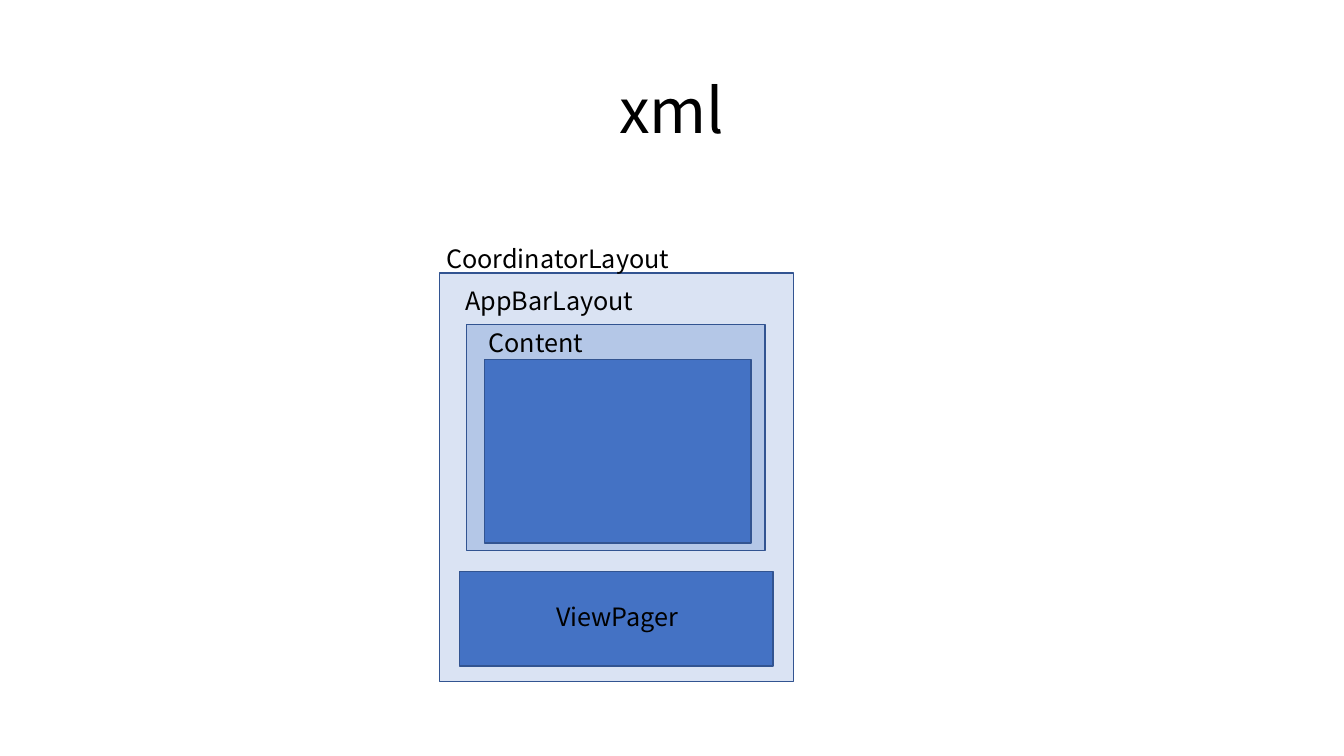
from dataclasses import dataclass

from pptx import Presentation
from pptx.dml.color import RGBColor
from pptx.enum import shapes, text
from pptx.util import Pt


@dataclass(frozen=True)
class Theme:
    font: str = "Noto Sans CJK KR"
    ink: str = "000000"
    outline: str = "325491"
    pale: str = "DAE3F3"
    light: str = "B4C7E7"
    strong: str = "4472C4"
    title_size: float = 44
    label_size: float = 18


THEME = Theme()


def add_text(parent, wording, box, *, size=THEME.label_size,
             align=text.PP_ALIGN.LEFT, anchor=text.MSO_ANCHOR.TOP,
             spacing=1.0, fit=text.MSO_AUTO_SIZE.NONE):
    frame = parent.add_textbox(*map(Pt, box)).text_frame
    frame.word_wrap = True
    frame.auto_size = fit
    frame.vertical_anchor = anchor
    line = frame.paragraphs[0]
    line.alignment = align
    line.line_spacing = spacing
    run = line.add_run()
    run.text = wording
    run.font.name = THEME.font
    run.font.size = Pt(size)
    run.font.color.rgb = RGBColor.from_string(THEME.ink)


def add_panel(parent, box, fill):
    panel = parent.add_shape(shapes.MSO_SHAPE.RECTANGLE, *map(Pt, box))
    panel.shadow.inherit = False
    panel.fill.solid()
    panel.fill.fore_color.rgb = RGBColor.from_string(fill)
    panel.line.color.rgb = RGBColor.from_string(THEME.outline)
    panel.line.width = Pt(1)


def draw_title(slide, box):
    add_text(slide.shapes, "xml", box, size=THEME.title_size,
             align=text.PP_ALIGN.CENTER, anchor=text.MSO_ANCHOR.MIDDLE,
             spacing=0.9)


def draw_layout_tree(slide, box):
    """Draw the nested layouts; panels and labels are offset from the outer box."""
    left, top, width, height = box
    tree = slide.shapes.add_group_shape().shapes
    panels = [
        (0, 0, width, height, THEME.pale),
        (19.4, 36.8, 213.1, 161.3, THEME.light),
        (14.4, 213.1, 223.9, 67.7, THEME.strong),
        (32.4, 61.9, 190.1, 131, THEME.strong),
    ]
    labels = [
        ("CoordinatorLayout", -2.2, -25.2),
        ("AppBarLayout", 11.5, 5),
        ("Content", 28.1, 35.3),
        ("ViewPager", 76.3, 231.1),
    ]
    for dx, dy, panel_width, panel_height, fill in panels:
        add_panel(tree, (left + dx, top + dy, panel_width, panel_height), fill)
    for wording, dx, dy in labels:
        add_text(tree, wording, (left + dx, top + dy, 239.8, 29.1),
                 fit=text.MSO_AUTO_SIZE.SHAPE_TO_FIT_TEXT)


def main():
    deck = Presentation()
    deck.slide_width, deck.slide_height = Pt(960), Pt(540)
    slide = deck.slides.add_slide(deck.slide_layouts[6])
    draw_title(slide, (66, 28.8, 828, 104.4))
    draw_layout_tree(slide, (313.9, 195.1, 252.7, 291.6))
    deck.save("out.pptx")


if __name__ == "__main__":
    main()
